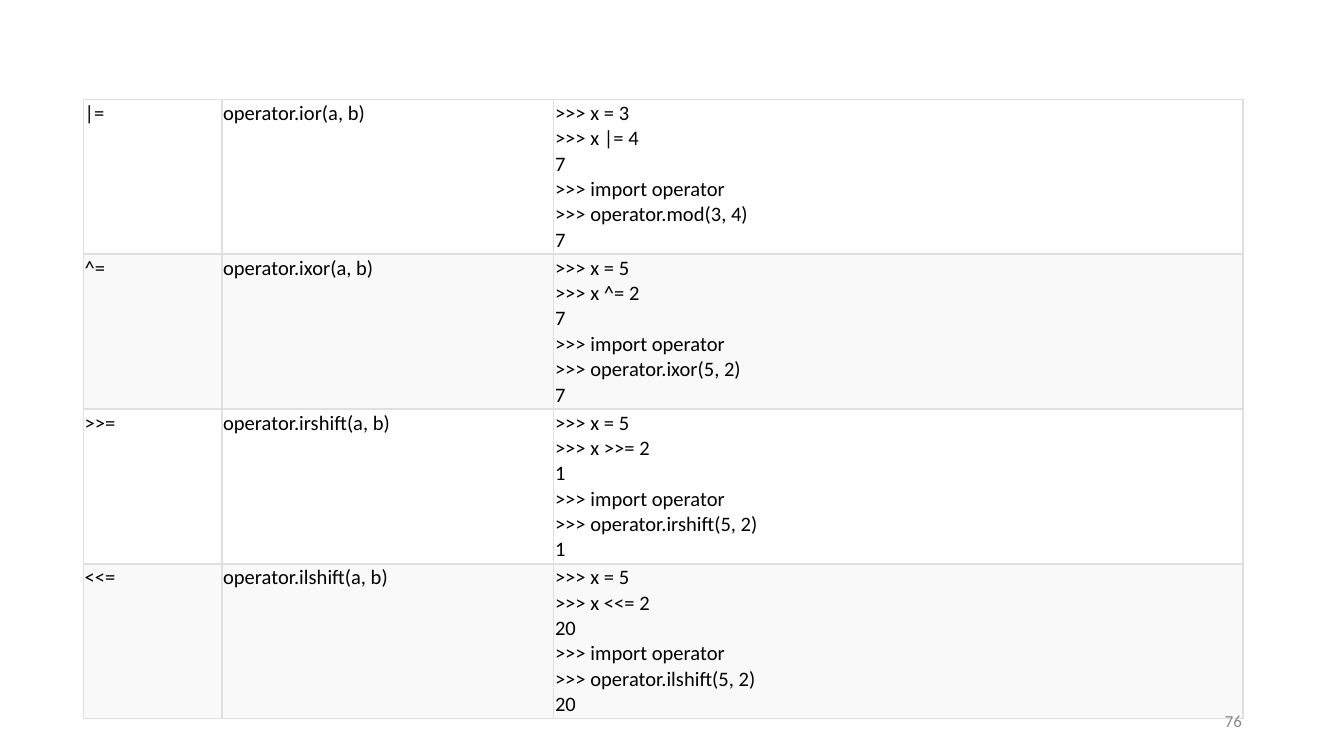
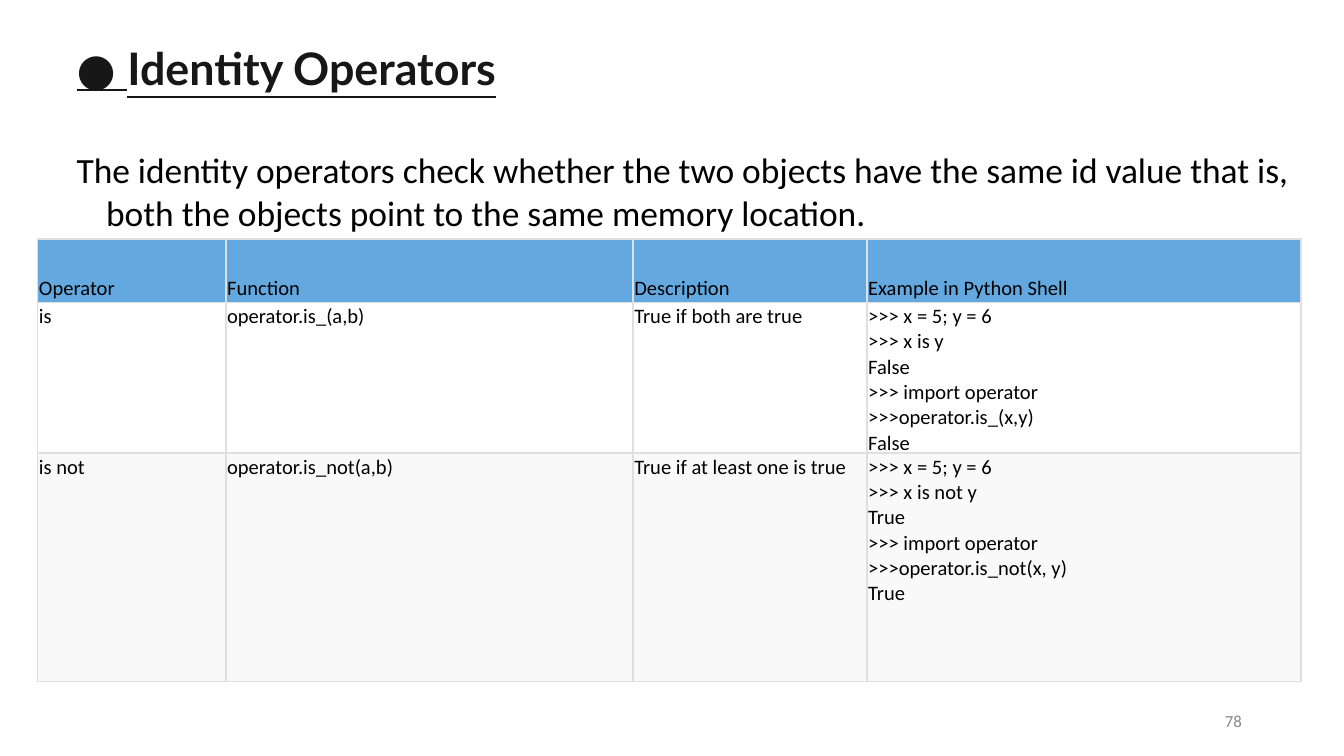
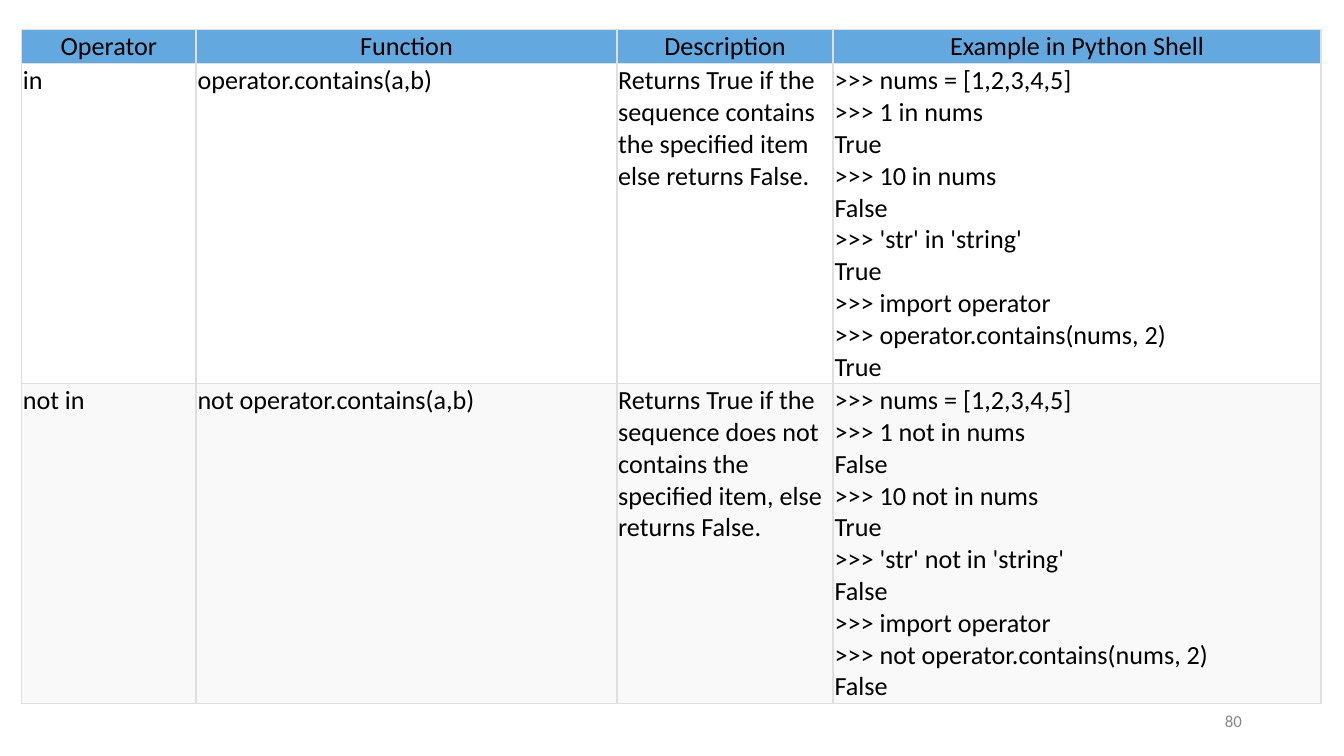
from lxml import etree
from pptx import Presentation
from pptx.dml.color import RGBColor
from pptx.enum.text import MSO_ANCHOR, MSO_AUTO_SIZE, PP_ALIGN
from pptx.oxml.ns import qn
from pptx.util import Inches, Pt

LEFT, CENTER, RIGHT = PP_ALIGN.LEFT, PP_ALIGN.CENTER, PP_ALIGN.RIGHT
TOP, MIDDLE, BOTTOM = MSO_ANCHOR.TOP, MSO_ANCHOR.MIDDLE, MSO_ANCHOR.BOTTOM
GROW = MSO_AUTO_SIZE.SHAPE_TO_FIT_TEXT

COLORS = {
    "text": "000000",
    "title": "181717",
    "page": "888888",
    "header": "63A9E0",
    "odd": "FFFFFF",
    "even": "F9F9F9",
    "rule": "DFDFDF",
    "header_rule": "DEE2E6",
}
HEADINGS = ["Operator", "Function", "Description", "Example in Python Shell"]
CELL_MARGIN = Inches(0.01)

LESSONS = [
    {
        "page": "76", "left": 0.62, "top": 0.74, "size": 11,
        "columns": [1.03, 2.47, 5.13], "heights": [1.14] * 4,
        "header": False, "header_align": LEFT,
        "rows": [
            ["|=", "operator.ior(a, b)",
             ">>> x = 3\n>>> x |= 4\n7\n>>> import operator\n>>> operator.mod(3, 4)\n7"],
            ["^=", "operator.ixor(a, b)",
             ">>> x = 5\n>>> x ^= 2\n7\n>>> import operator\n>>> operator.ixor(5, 2)\n7"],
            [">>=", "operator.irshift(a, b)",
             ">>> x = 5\n>>> x >>= 2\n1\n>>> import operator\n>>> operator.irshift(5, 2)\n1"],
            ["<<=", "operator.ilshift(a, b)",
             ">>> x = 5\n>>> x <<= 2\n20\n>>> import operator\n>>> operator.ilshift(5, 2)\n20"],
        ],
    },
    {
        "page": "78", "left": 0.28, "top": 1.78, "size": 11,
        "columns": [1.4, 3.03, 1.74, 3.23], "heights": [0.47, 1.12, 1.7],
        "header": True, "header_align": LEFT,
        "title": "Identity Operators",
        "intro": "The identity operators check whether the two objects have the same id value "
                 "that is, both the objects point to the same memory location.",
        "rows": [
            HEADINGS,
            ["is", "operator.is_(a,b)", "True if both are true",
             ">>> x = 5; y = 6\n>>> x is y\nFalse\n>>> import operator\n"
             ">>>operator.is_(x,y)\nFalse"],
            ["is not", "operator.is_not(a,b)", "True if at least one is true",
             ">>> x = 5; y = 6\n>>> x is not y\nTrue\n>>> import operator\n"
             ">>>operator.is_not(x, y)\nTrue"],
        ],
    },
    {
        "page": "80", "left": 0.16, "top": 0.22, "size": 14,
        "columns": [1.3, 3.13, 1.61, 3.63], "heights": [0.25, 2.38, 2.38],
        "header": True, "header_align": CENTER,
        "rows": [
            HEADINGS,
            ["in", "operator.contains(a,b)",
             "Returns True if the sequence contains the specified item else returns False.",
             ">>> nums = [1,2,3,4,5]\n>>> 1 in nums\nTrue\n>>> 10 in nums\nFalse\n"
             ">>> 'str' in 'string'\nTrue\n>>> import operator\n"
             ">>> operator.contains(nums, 2)\nTrue"],
            ["not in", "not operator.contains(a,b)",
             "Returns True if the sequence does not contains the specified item, "
             "else returns False.",
             ">>> nums = [1,2,3,4,5]\n>>> 1 not in nums\nFalse\n>>> 10 not in nums\nTrue\n"
             ">>> 'str' not in 'string'\nFalse\n>>> import operator\n"
             ">>> not operator.contains(nums, 2)\nFalse"],
        ],
    },
]


def write(paragraph, text, size=11, font="Calibri", color="text", bold=False,
          underline=False, align=LEFT):
    paragraph.alignment = align
    run = paragraph.add_run()
    run.text = text
    run.font.name = font
    run.font.size = Pt(size)
    run.font.bold = bold
    run.font.underline = underline
    run.font.color.rgb = RGBColor.from_string(COLORS[color])


def add_frame(slide, left, top, width, height, anchor=TOP):
    box = slide.shapes.add_textbox(Inches(left), Inches(top), Inches(width), Inches(height))
    frame = box.text_frame
    frame.word_wrap = True
    frame.vertical_anchor = anchor
    frame.margin_left = frame.margin_right = Inches(0.07)
    frame.margin_top = frame.margin_bottom = Inches(0.04)
    return frame


prs = Presentation()
prs.slide_width = Inches(10)
prs.slide_height = prs.slide_width * 9 // 16

for lesson in LESSONS:
    slide = prs.slides.add_slide(prs.slide_layouts[6])

    if "title" in lesson:
        opening = add_frame(slide, 0.5, 0.26, 9.17, 1.52)
        opening.auto_size = GROW
        heading, intro = opening.paragraphs[0], opening.add_paragraph()
        for paragraph in (heading, intro):
            properties = paragraph._p.get_or_add_pPr()
            properties.set("marL", str(Inches(0.22)))
            properties.set("indent", str(-Inches(0.22)))
        for text, font in (("● ", "Open Sans"), (lesson["title"], "Lato")):
            write(heading, text, size=24, font=font, color="title", bold=True, underline=True)
        intro.space_before = Pt(29)
        write(intro, lesson["intro"], size=19)

    rows, columns, heights = lesson["rows"], lesson["columns"], lesson["heights"]
    operators = slide.shapes.add_table(
        len(rows), len(columns), Inches(lesson["left"]), Inches(lesson["top"]),
        Inches(sum(columns)), Inches(sum(heights))).table
    operators.first_row = lesson["header"]
    operators.horz_banding = False
    for column, width in zip(operators.columns, columns):
        column.width = Inches(width)
    for row, height in zip(operators.rows, heights):
        row.height = Inches(height)

    for r, row in enumerate(rows):
        is_header = lesson["header"] and r == 0
        below_header = lesson["header"] and r == 1
        body_index = r - lesson["header"]
        fill = "header" if is_header else ("odd", "even")[body_index % 2]
        rules = {
            "lnL": "rule",
            "lnR": "rule",
            "lnT": "header_rule" if below_header else "rule",
            "lnB": "header_rule" if is_header else "rule",
        }
        for c, text in enumerate(row):
            cell = operators.cell(r, c)
            cell.margin_left = cell.margin_right = CELL_MARGIN
            cell.margin_top = cell.margin_bottom = CELL_MARGIN
            cell.vertical_anchor = BOTTOM if is_header else TOP
            cell.fill.solid()
            cell.fill.fore_color.rgb = RGBColor.from_string(COLORS[fill])
            for i, line in enumerate(text.split("\n")):
                frame = cell.text_frame
                paragraph = frame.add_paragraph() if i else frame.paragraphs[0]
                write(paragraph, line, size=lesson["size"],
                      align=lesson["header_align"] if is_header else LEFT)
            cell_properties = cell._tc.get_or_add_tcPr()
            for i, (edge, color) in enumerate(rules.items()):
                border = etree.Element(qn(f"a:{edge}"), w=str(Pt(1)))
                solid = etree.SubElement(border, qn("a:solidFill"))
                etree.SubElement(solid, qn("a:srgbClr"), val=COLORS[color])
                cell_properties.insert(i, border)

    footer = add_frame(slide, 7.06, 5.21, 2.25, 0.3, anchor=MIDDLE)
    write(footer.paragraphs[0], lesson["page"], size=9, color="page", align=RIGHT)

prs.save("out.pptx")
